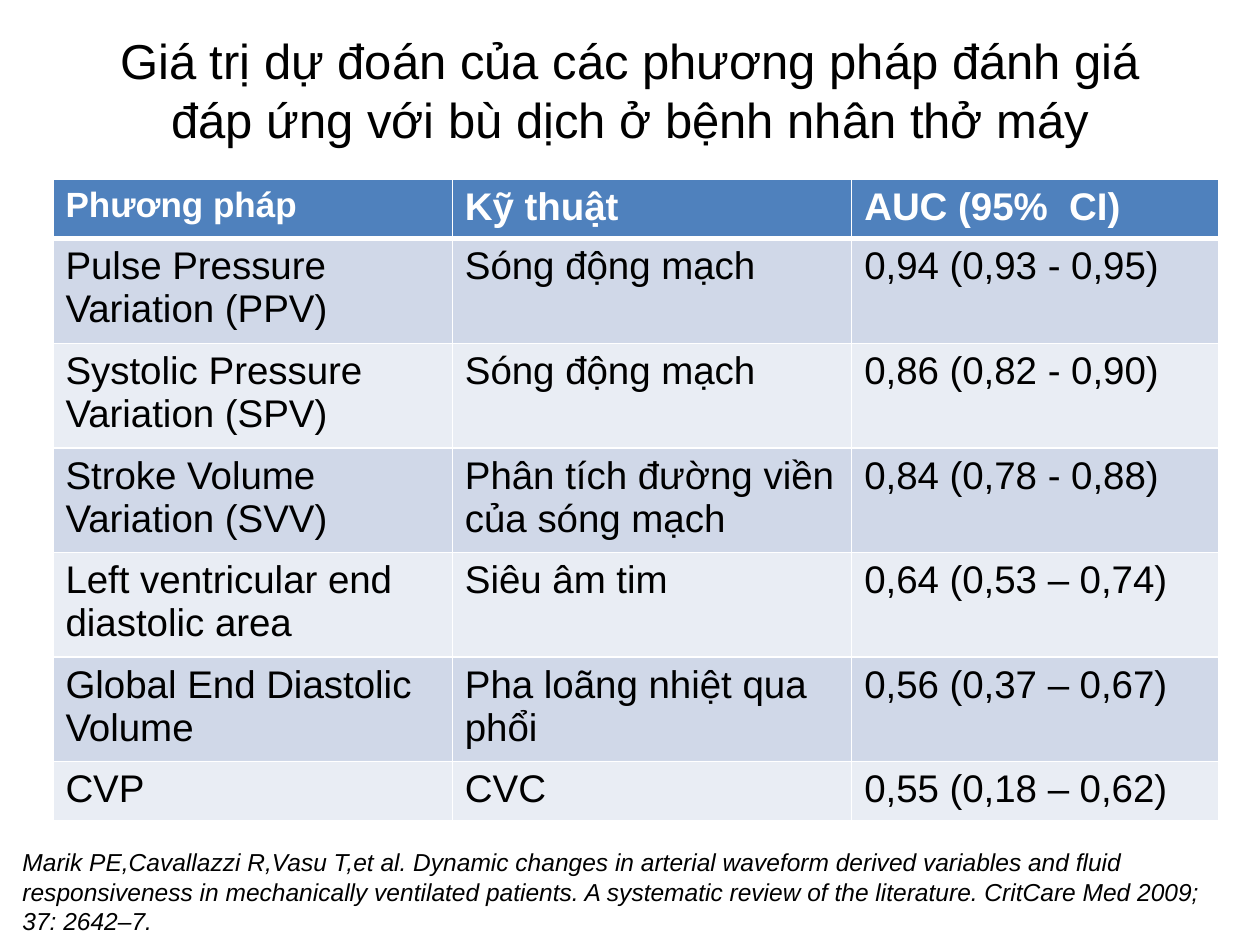
from lxml import etree
from pptx import Presentation, util as u
from pptx.dml.color import RGBColor
from pptx.enum import text as t
from pptx.oxml import ns

WIDE, HIGH = 10, 7.5
HEAD, BANDS = "4F81BD", ("D0D8E8", "E9EDF4")
COLS = (3.17, 3.17, 2.91)
ONE, TWO = 0.47, 0.83  # height of a row with one or two lines

TITLE = "Giá trị dự đoán của các phương pháp đánh giá đáp ứng với bù dịch ở bệnh nhân thở máy"
ROWS = [
    ("Phương pháp", "Kỹ thuật", "AUC (95%  CI)"),
    ("Pulse Pressure Variation (PPV)", "Sóng động mạch", "0,94 (0,93 - 0,95)"),
    ("Systolic Pressure Variation (SPV)", "Sóng động mạch", "0,86 (0,82 - 0,90)"),
    ("Stroke Volume Variation (SVV)", "Phân tích đường viền của sóng mạch",
     "0,84 (0,78 - 0,88)"),
    ("Left ventricular end diastolic area", "Siêu âm tim", "0,64 (0,53 – 0,74)"),
    ("Global End Diastolic Volume", "Pha loãng nhiệt qua phổi", "0,56 (0,37 – 0,67)"),
    ("CVP", "CVC", "0,55 (0,18 – 0,62)"),
]
SOURCE = [
    "Marik PE,Cavallazzi R,Vasu T,et al. Dynamic changes in arterial waveform "
    "derived variables and fluid",
    "responsiveness in mechanically ventilated patients. A systematic review of "
    "the literature. CritCare Med 2009;",
    "37: 2642–7.",
]


def color(code):
    return RGBColor.from_string(code)


def place(box):
    """Turn shares of the slide into left, top, width and height."""
    return [u.Inches(part * side) for part, side in zip(box, (WIDE, HIGH) * 2)]


def write(para, words, size, code="000000", bold=False, slant=False):
    run = para.add_run()
    run.text = words
    font = run.font
    font.name, font.size = "Arial", u.Pt(size)
    font.bold, font.italic = bold, slant
    font.color.rgb = color(code)


def edge(cell, side, width):
    """Draw one white cell border."""
    line = etree.SubElement(cell._tc.get_or_add_tcPr(), ns.qn("a:ln" + side),
                            w=str(u.Pt(width)))
    fill = etree.SubElement(line, ns.qn("a:solidFill"))
    etree.SubElement(fill, ns.qn("a:srgbClr"), val="FFFFFF")


def add_title(slide, box):
    head = slide.shapes.title
    head.left, head.top, head.width, head.height = place(box)
    frame = head.text_frame
    frame.word_wrap = True
    frame.vertical_anchor = t.MSO_ANCHOR.MIDDLE
    para = frame.paragraphs[0]
    para.alignment = t.PP_ALIGN.CENTER
    write(para, TITLE, 28)


def add_grid(slide, box):
    grid = slide.shapes.add_table(len(ROWS), len(COLS), *place(box)).table
    for col, width in zip(grid.columns, COLS):
        col.width = u.Inches(width)
    for i, row in enumerate(ROWS):
        grid.rows[i].height = u.Inches(ONE if i in (0, len(ROWS) - 1) else TWO)
        for j, words in enumerate(row):
            cell = grid.cell(i, j)
            for side in "LRTB":
                # The rule under the header is heavier
                heavy = (i, side) in ((0, "B"), (1, "T"))
                edge(cell, side, 3 if heavy else 1)
            cell.fill.solid()
            cell.fill.fore_color.rgb = color(BANDS[(i - 1) % 2] if i else HEAD)
            write(cell.text_frame.paragraphs[0], words,
                  22 if i or j else 20, "000000" if i else "FFFFFF", bold=not i)


def add_source(slide, box):
    frame = slide.shapes.add_textbox(*place(box)).text_frame
    frame.word_wrap = False
    frame.auto_size = t.MSO_AUTO_SIZE.SHAPE_TO_FIT_TEXT
    for i, words in enumerate(SOURCE):
        para = frame.add_paragraph() if i else frame.paragraphs[0]
        write(para, words, 14, slant=True)


def main():
    deck = Presentation()
    deck.slide_width, deck.slide_height = u.Inches(WIDE), u.Inches(HIGH)
    slide = deck.slides.add_slide(deck.slide_layouts[5])
    # Title, table, citation
    add_title(slide, (0.05, 0.01, 0.9, 0.17))
    add_grid(slide, (0.042, 0.19, 0.925, 0.68))
    add_source(slide, (0.008, 0.89, 0.966, 0.108))
    deck.save("out.pptx")


if __name__ == "__main__":
    main()
